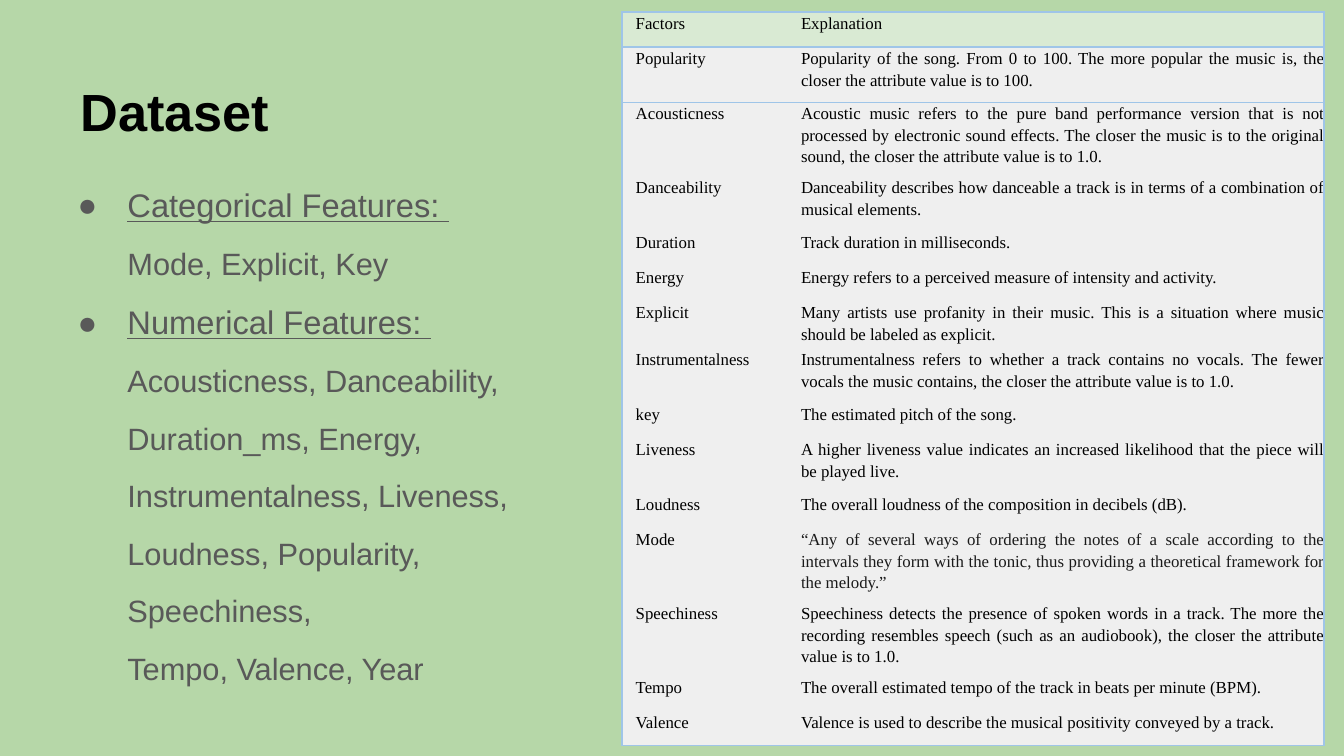
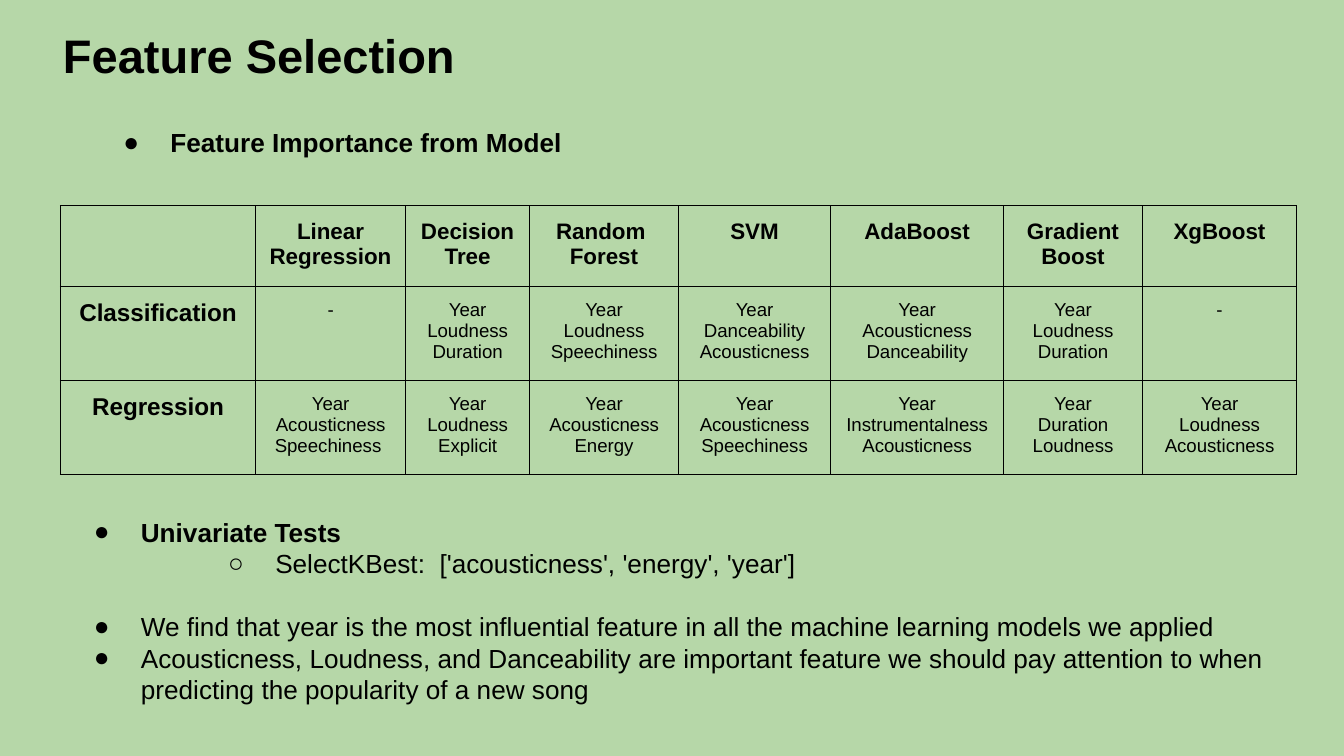
from lxml import etree
from pptx import Presentation
from pptx.dml.color import RGBColor
from pptx.enum.text import MSO_ANCHOR, PP_ALIGN
from pptx.oxml.ns import qn
from pptx.util import Inches, Pt

TOP, MIDDLE = MSO_ANCHOR.TOP, MSO_ANCHOR.MIDDLE
LEFT, CENTER, JUSTIFY = PP_ALIGN.LEFT, PP_ALIGN.CENTER, PP_ALIGN.JUSTIFY

BACKGROUND = RGBColor(0xB6, 0xD7, 0xA8)
BLACK = RGBColor(0, 0, 0)
GREY = RGBColor(0x59, 0x59, 0x59)
QUOTE = RGBColor(0x1A, 0x1A, 0x1A)
HEADER_FILL = RGBColor(0xD9, 0xEA, 0xD3)
ROW_FILL = RGBColor(0xEF, 0xEF, 0xEF)
TABLE_BLUE = RGBColor(0x9F, 0xC5, 0xE8)
SANS, SERIF = "Arial", "Times New Roman"
BULLET = {"bullet": "●", "indent": (0.5, -0.35)}
TABLE_FRAME = Inches(3.28)

FEATURE_GROUPS = [
    ("Categorical Features: ", ["Mode, Explicit, Key"]),
    ("Numerical Features: ", [
        "Acousticness, Danceability,", "Duration_ms, Energy,",
        "Instrumentalness, Liveness,", "Loudness, Popularity,",
        "Speechiness,", "Tempo, Valence, Year"]),
]

# Row height, factor, explanation
FACTORS = [
    (0.26, "Factors", "Explanation"),
    (0.41, "Popularity", "Popularity of the song. From 0 to 100. The more popular the "
     "music is, the closer the attribute value is to 100."),
    (0.55, "Acousticness", "Acoustic music refers to the pure band performance version "
     "that is not processed by electronic sound effects. The closer the music is to the "
     "original sound, the closer the attribute value is to 1.0."),
    (0.41, "Danceability", "Danceability describes how danceable a track is in terms of "
     "a combination of musical elements."),
    (0.26, "Duration", "Track duration in milliseconds."),
    (0.26, "Energy", "Energy refers to a perceived measure of intensity and activity. "),
    (0.35, "Explicit", "Many artists use profanity in their music. This is a situation "
     "where music should be labeled as explicit."),
    (0.41, "Instrumentalness", "Instrumentalness refers to whether a track contains no "
     "vocals. The fewer vocals the music contains, the closer the attribute value is to "
     "1.0."),
    (0.26, "key", "The estimated pitch of the song. "),
    (0.41, "Liveness", "A higher liveness value indicates an increased likelihood that "
     "the piece will be played live."),
    (0.26, "Loudness", "The overall loudness of the composition in decibels (dB)."),
    (0.55, "Mode", "“Any of several ways of ordering the notes of a scale according to "
     "the intervals they form with the tonic, thus providing a theoretical framework for "
     "the melody.”"),
    (0.55, "Speechiness", "Speechiness detects the presence of spoken words in a track. "
     "The more the recording resembles speech (such as an audiobook), the closer the "
     "attribute value is to 1.0."),
    (0.26, "Tempo", "The overall estimated tempo of the track in beats per minute (BPM)."),
    (0.26, "Valence", "Valence is used to describe the musical positivity conveyed by a "
     "track. "),
]

# Each cell is a list of lines
IMPORTANCE = [
    [[], ["Linear", "Regression"], ["Decision", "Tree"], ["Random ", "Forest"], ["SVM"],
     ["AdaBoost"], ["Gradient Boost"], ["XgBoost"]],
    [["Classification"], ["-"], ["Year", "Loudness", "Duration"],
     ["Year", "Loudness", "Speechiness"], ["Year", "Danceability", "Acousticness"],
     ["Year", "Acousticness", "Danceability"], ["Year", "Loudness", "Duration"], ["-"]],
    [["Regression"], ["Year", "Acousticness", "Speechiness "],
     ["Year", "Loudness", "Explicit"], ["Year", "Acousticness", "Energy"],
     ["Year", "Acousticness", "Speechiness"],
     ["Year", "Instrumentalness", "Acousticness"],
     ["Year", "Duration", "Loudness"], ["Year", "Loudness", "Acousticness"]],
]


# Shared helpers
def write(frame, text, size=14, color=BLACK, font=SANS, bold=False, underline=False,
          align=LEFT, indent=(0, 0), spacing=None, before=0, bullet=None, level=0):
    """Fill the empty first paragraph of a frame, or add one after the rest."""
    paragraph = frame.paragraphs[0]
    if paragraph.runs:
        paragraph = frame.add_paragraph()
    paragraph.alignment, paragraph.level = align, level
    if spacing:
        paragraph.line_spacing = spacing
    if before:
        paragraph.space_before = Pt(before)
    properties = paragraph._p.get_or_add_pPr()
    properties.set("marL", str(Inches(indent[0])))
    properties.set("indent", str(Inches(indent[1])))
    if bullet:
        bullet_color = etree.SubElement(properties, qn("a:buClr"))
        etree.SubElement(bullet_color, qn("a:srgbClr"), val=str(color))
        etree.SubElement(properties, qn("a:buFont"), typeface=SANS)
        etree.SubElement(properties, qn("a:buChar"), char=bullet)
    run = paragraph.add_run()
    run.text = text
    run.font.size, run.font.name = Pt(size), font
    run.font.bold, run.font.underline = bold, underline
    run.font.color.rgb = color


def add_text_box(slide, box, anchor=TOP):
    frame = slide.shapes.add_textbox(*map(Inches, box)).text_frame
    frame.word_wrap = True
    frame.vertical_anchor = anchor
    frame.margin_left = frame.margin_right = Inches(0.1)
    frame.margin_top = frame.margin_bottom = Inches(0.1)
    return frame


def add_title(slide, box, text, size, anchor):
    write(add_text_box(slide, box, anchor), text, size=size, bold=True)


def add_plain_table(slide, left, top, widths, heights):
    graphic_frame = slide.shapes.add_table(
        len(heights), len(widths), Inches(left), Inches(top), TABLE_FRAME, TABLE_FRAME)
    table = graphic_frame.table
    table.first_row = table.horz_banding = False
    for column, width in zip(table.columns, widths):
        column.width = Inches(width)
    for row, height in zip(table.rows, heights):
        row.height = Inches(height)
    # Rows and columns set the drawn size; the frame keeps its own
    graphic_frame.width = graphic_frame.height = TABLE_FRAME
    return table


def style_cell(cell, margin, color, edges, fill=None):
    """Edges maps L, R, T, B to a line width in points; a missing edge is hidden."""
    cell.margin_left = cell.margin_right = Inches(margin)
    cell.margin_top = cell.margin_bottom = Inches(margin)
    properties = cell._tc.get_or_add_tcPr()
    for side in "LRTB":
        line = etree.SubElement(properties, qn(f"a:ln{side}"))
        if side in edges:
            line.set("w", str(Pt(edges[side])))
            solid = etree.SubElement(line, qn("a:solidFill"))
            etree.SubElement(solid, qn("a:srgbClr"), val=str(color))
        else:
            etree.SubElement(line, qn("a:noFill"))
    if fill is None:
        cell.fill.background()
    else:
        cell.fill.solid()
        cell.fill.fore_color.rgb = fill


def add_slide(presentation):
    slide = presentation.slides.add_slide(presentation.slide_layouts[6])
    slide.background.fill.solid()
    slide.background.fill.fore_color.rgb = BACKGROUND
    return slide


# Dataset slide
def add_feature_list(slide, box):
    frame = add_text_box(slide, box)
    for index, (heading, lines) in enumerate(FEATURE_GROUPS):
        write(frame, heading, size=17.5, color=GREY, underline=True, bullet="●",
              indent=(0.5, -0.37), spacing=0.95, before=12 if index else 0)
        for line in lines:
            write(frame, line, size=16.5, color=GREY, indent=(0.5, 0), spacing=0.95,
                  before=12)


def add_factor_table(slide, left, top):
    heights = [height for height, _, _ in FACTORS]
    table = add_plain_table(slide, left, top, [1.23, 3.99], heights)
    last = len(FACTORS) - 1
    for row, (_, *texts) in enumerate(FACTORS):
        for column, text in enumerate(texts):
            cell = table.cell(row, column)
            edges = {"R" if column else "L": 1}
            # Rules: table outline, below the header, below the first factor
            if row <= 2:
                edges["T"] = 0.75 if row == 2 else 1
            if row <= 1 or row == last:
                edges["B"] = 0.75 if row == 1 else 1
            style_cell(cell, 0, TABLE_BLUE, edges, ROW_FILL if row else HEADER_FILL)
            write(cell.text_frame, text, size=9, font=SERIF, align=JUSTIFY,
                  color=QUOTE if text.startswith("“") else BLACK,
                  indent=(0.1, 0), spacing=1.15)


def build_dataset_slide(presentation):
    slide = add_slide(presentation)
    add_title(slide, (0.5, 0.49, 9.55, 0.74), "Dataset", 28, TOP)
    add_feature_list(slide, (0.35, 1.3, 3.92, 3.74))
    add_factor_table(slide, 4.63, 0.09)


# Feature selection slide
def add_importance_table(slide, left, top):
    table = add_plain_table(slide, left, top,
                            [1.45, 1.12, 0.92, 1.11, 1.13, 1.29, 1.03, 1.15],
                            [0.42, 0.42, 0.6])
    for row, cells in enumerate(IMPORTANCE):
        for column, lines in enumerate(cells):
            cell = table.cell(row, column)
            style_cell(cell, 0.1, BLACK, dict.fromkeys("LRTB", 0.75))
            size = 12 if row == 0 else 13 if column == 0 else 10
            for line in lines:
                write(cell.text_frame, line, size=size, align=CENTER,
                      bold=row == 0 or column == 0)


def add_findings(slide, box):
    frame = add_text_box(slide, box)
    write(frame, "Univariate Tests", bold=True, **BULLET)
    write(frame, "SelectKBest:  ['acousticness', 'energy', 'year']", level=1,
          bullet="○", indent=(1.5, -0.35))
    write(frame, "We find that year is the most influential feature in all the machine "
          "learning models we applied", before=17, **BULLET)
    write(frame, "Acousticness, Loudness, and Danceability are important feature we "
          "should pay attention to when predicting the popularity of a new song", **BULLET)


def build_selection_slide(presentation):
    slide = add_slide(presentation)
    add_findings(slide, (0.45, 3.74, 9.26, 0.63))
    add_title(slide, (0.37, 0.09, 9.26, 0.63), "Feature Selection", 25.2, MIDDLE)
    add_importance_table(slide, 0.45, 1.53)
    write(add_text_box(slide, (0.67, 0.84, 4.27, 0.44)),
          "Feature Importance from Model", bold=True, **BULLET)


def main():
    presentation = Presentation()
    presentation.slide_width = Inches(10)
    presentation.slide_height = Inches(10 * 9 / 16)
    build_dataset_slide(presentation)
    build_selection_slide(presentation)
    presentation.save("out.pptx")


if __name__ == "__main__":
    main()
